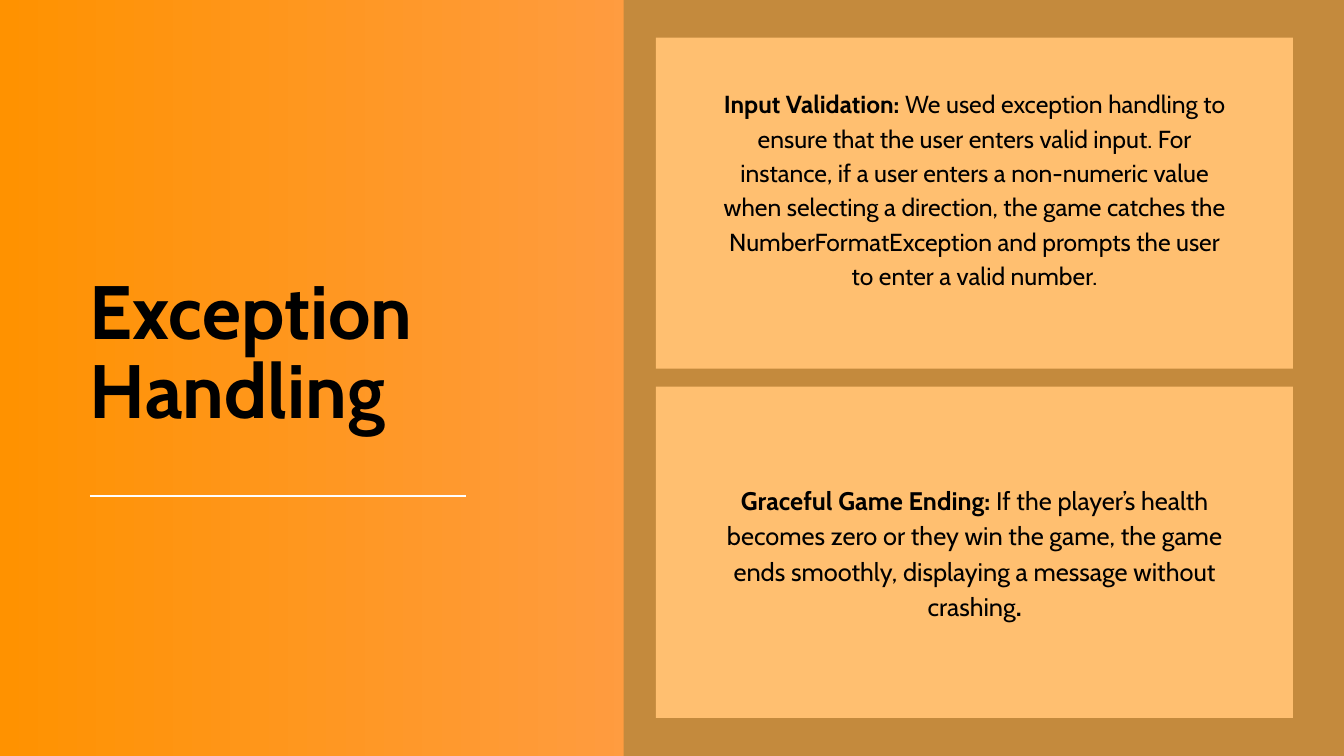
from lxml import etree
from pptx import Presentation
from pptx.dml.color import RGBColor
from pptx.enum.shapes import MSO_CONNECTOR as Connector, MSO_SHAPE as Shape
from pptx.enum.text import MSO_ANCHOR as Anchor, MSO_AUTO_SIZE as AutoSize, PP_ALIGN as Align
from pptx.oxml.ns import qn
from pptx.util import Cm, Pt

FONT = "Cabin"
BLACK, WHITE = "000000", "FFFFFF"
BROWN, PEACH = "C48A3D", "FFBF70"
GRADIENT = ("FF9200", "FFA78B")

SLIDE_WIDTH, SLIDE_HEIGHT = 50.8, 28.58
PANEL_LEFT = 23.57
CARD_LEFT, CARD_TOP, CARD_WIDTH, CARD_HEIGHT = 24.79, 1.42, 24.08, 12.52
CARD_STEP = 13.2
TEXT_LEFT, TEXT_WIDTH = 27.33, 19.02
TITLE_LEFT, TITLE_WIDTH = 3.4, 14.22

# Text top and height, size, line spacing, then (wording, bold) spans
CARDS = [
    (3.18, 8.92, 26.4, 36.9, [
        ("Input Validation: ", True),
        ("We used exception handling to ensure that the user enters valid input. "
         "For instance, if a user enters a non-numeric value when selecting a "
         "direction, the game catches the NumberFormatException and prompts the "
         "user to enter a valid number.", False),
    ]),
    (18.14, 5.33, 27.2, 38.1, [
        ("Graceful Game Ending:", True),
        (" If the player’s health becomes zero or they win the game, the game ends "
         "smoothly, displaying a message without crashing", False),
        (".", True),
    ]),
]


def color(value):
    return RGBColor.from_string(value)


def paint_background(slide):
    fill = slide.background.fill
    fill.gradient()
    fill.gradient_angle = 0
    for stop, value in zip(fill.gradient_stops, GRADIENT):
        stop.color.rgb = color(value)


def add_block(slide, left, top, width, height, fill):
    block = slide.shapes.add_shape(
        Shape.RECTANGLE, Cm(left), Cm(top), Cm(width), Cm(height))
    block.shadow.inherit = False
    block.fill.solid()
    block.fill.fore_color.rgb = color(fill)
    block.line.fill.background()


def add_rule(slide, left, top, width):
    rule = slide.shapes.add_connector(
        Connector.STRAIGHT, Cm(left), Cm(top), Cm(left + width), Cm(top))
    rule.line.color.rgb = color(WHITE)
    rule.line.width = Pt(3)
    etree.SubElement(rule._element.spPr, qn("a:effectLst"))


def write_text(box, spans, size, spacing, align):
    frame = box.text_frame
    frame.word_wrap = True
    frame.auto_size = AutoSize.NONE
    frame.vertical_anchor = Anchor.TOP
    frame.margin_left = frame.margin_right = frame.margin_top = frame.margin_bottom = 0
    para = frame.paragraphs[0]
    para.alignment = align
    para.line_spacing = Pt(spacing)
    para.font.name = FONT
    para.font.size = Pt(size)
    para.font.color.rgb = color(BLACK)
    for wording, bold in spans:
        span = para.add_run()
        span.text = wording
        span.font.bold = bold


def add_title(slide):
    title = slide.shapes.title
    title.left, title.top = Cm(TITLE_LEFT), Cm(10.41)
    title.width, title.height = Cm(TITLE_WIDTH), Cm(6.12)
    write_text(title, [("Exception Handling", True)], 81, 85, Align.LEFT)


def add_card(slide, index, text_top, text_height, size, spacing, spans):
    add_block(slide, CARD_LEFT, CARD_TOP + index * CARD_STEP,
              CARD_WIDTH, CARD_HEIGHT, PEACH)
    box = slide.shapes.add_textbox(
        Cm(TEXT_LEFT), Cm(text_top), Cm(TEXT_WIDTH), Cm(text_height))
    write_text(box, spans, size, spacing, Align.CENTER)


def main():
    deck = Presentation()
    deck.slide_width, deck.slide_height = Cm(SLIDE_WIDTH), Cm(SLIDE_HEIGHT)
    page = deck.slides.add_slide(deck.slide_layouts[5])

    # Left side: heading on the gradient
    paint_background(page)
    add_title(page)
    add_rule(page, TITLE_LEFT, 18.75, TITLE_WIDTH)

    # Right side: brown panel with two cards
    add_block(page, PANEL_LEFT, 0, SLIDE_WIDTH - PANEL_LEFT, SLIDE_HEIGHT, BROWN)
    for index, card in enumerate(CARDS):
        add_card(page, index, *card)

    deck.save("out.pptx")


if __name__ == "__main__":
    main()
